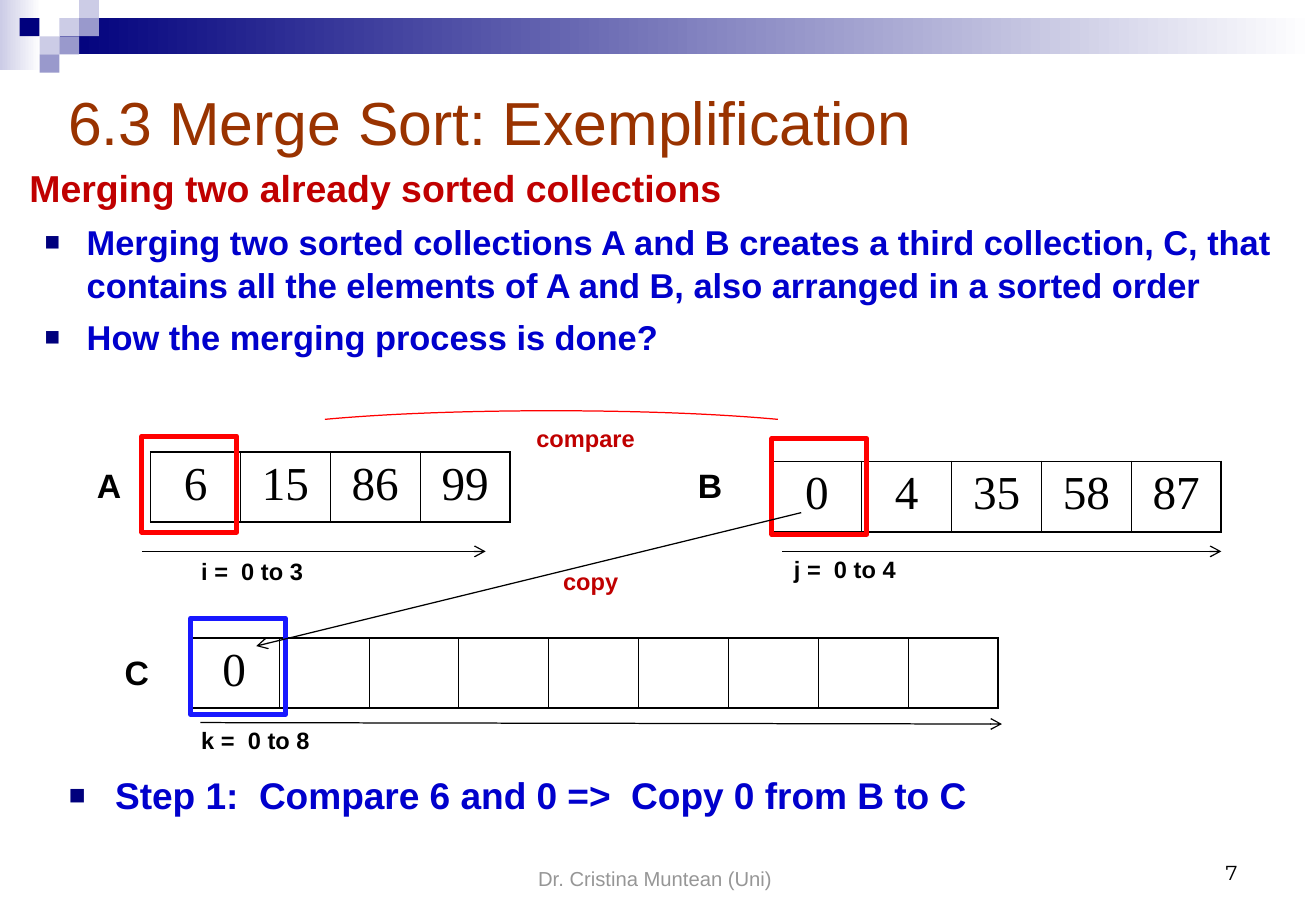
from dataclasses import dataclass

import pptx
import pptx.dml.color
import pptx.enum.shapes
import pptx.enum.text
import pptx.oxml
import pptx.oxml.ns
import pptx.util

Cm = pptx.util.Cm
Pt = pptx.util.Pt
Shapes = pptx.enum.shapes.MSO_SHAPE
Align = pptx.enum.text.PP_ALIGN
Anchor = pptx.enum.text.MSO_ANCHOR

COLOURS = {
    "navy": "00007D", "lilac": "CCCCE6", "violet": "9999CC", "white": "FFFFFF",
    "brown": "993300", "crimson": "C00000", "blue": "0000CC", "black": "000000",
    "grey": "969696", "red": "FF0000", "bright": "1818FF",
}
CELL_WIDTH, CELL_HEIGHT = 1.88, 1.47
FRAME_WIDTH, FRAME_HEIGHT = 1.98, 2.01
TILE_WIDTH, TILE_HEIGHT = 2.07 / 5, 0.38
THICK, THIN = 1.08, 0.45


@dataclass
class Style:
    size: float
    colour: str = "black"
    bold: bool = True
    font: str = "Arial"


@dataclass
class Caption:
    text: str
    left: float
    top: float
    width: float
    height: float
    style: Style
    align: Align = Align.LEFT
    anchor: Anchor = Anchor.TOP


@dataclass
class Collection:
    values: list[str]
    left: float
    top: float
    frame_left: float
    frame_top: float
    frame_colour: str


@dataclass
class Arrow:
    start: tuple[float, float]
    end: tuple[float, float]


def rgb(colour: str) -> pptx.dml.color.RGBColor:
    return pptx.dml.color.RGBColor.from_string(COLOURS[colour])


def place(item, left: float, top: float, width: float, height: float) -> None:
    item.left, item.top, item.width, item.height = map(Cm, (left, top, width, height))


def write(paragraph, text: str, style: Style, align: Align = Align.LEFT) -> None:
    paragraph.alignment = align
    run = paragraph.add_run()
    run.text = text
    run.font.size = Pt(style.size)
    run.font.bold = style.bold
    run.font.name = style.font
    run.font.color.rgb = rgb(style.colour)


def element(xml: str):
    return pptx.oxml.parse_xml(xml.replace(" ", f' {pptx.oxml.ns.nsdecls("a")} ', 1))


def set_bullet(paragraph, margin: float, hanging: float) -> None:
    properties = paragraph._p.get_or_add_pPr()
    properties.set("marL", str(Cm(margin)))
    properties.set("indent", str(-Cm(hanging)))
    for xml in (f'<a:buClr ><a:srgbClr val="{COLOURS["navy"]}"/></a:buClr>',
                '<a:buSzPct val="75000"/>', '<a:buFont typeface="Arial"/>',
                '<a:buChar char="■"/>'):
        properties.append(element(xml))


def add_block(slide, left: float, top: float, width: float, height: float,
              colour: str, fade_to: str = "") -> None:
    block = slide.shapes.add_shape(Shapes.RECTANGLE, *map(Cm, (left, top, width, height)))
    block.shadow.inherit = False
    block.line.fill.background()
    if fade_to:
        block.fill.gradient()
        block.fill.gradient_angle = 0
        for stop, stop_colour in zip(block.fill.gradient_stops, (colour, fade_to)):
            stop.color.rgb = rgb(stop_colour)
    else:
        block.fill.solid()
        block.fill.fore_color.rgb = rgb(colour)


def add_outline(slide, preset: Shapes, left: float, top: float, width: float,
                height: float, colour: str, weight: float):
    outline = slide.shapes.add_shape(preset, *map(Cm, (left, top, width, height)))
    outline.shadow.inherit = False
    outline.fill.background()
    outline.line.color.rgb = rgb(colour)
    outline.line.width = Pt(weight)
    return outline


def add_caption(slide, caption: Caption):
    box = slide.shapes.add_textbox(
        *map(Cm, (caption.left, caption.top, caption.width, caption.height)))
    box.text_frame.word_wrap = True
    box.text_frame.vertical_anchor = caption.anchor
    paragraph = box.text_frame.paragraphs[0]
    write(paragraph, caption.text, caption.style, caption.align)
    return paragraph


def add_collection(slide, collection: Collection) -> None:
    count = len(collection.values)
    table = slide.shapes.add_table(
        1, count, Cm(collection.left), Cm(collection.top),
        Cm(count * CELL_WIDTH), Cm(CELL_HEIGHT)).table
    table.first_row = table.horz_banding = False
    for index, value in enumerate(collection.values):
        cell = table.cell(0, index)
        cell.fill.background()
        if value:
            paragraph = cell.text_frame.paragraphs[0]
            paragraph.space_before = Pt(7)
            write(paragraph, value, Style(28, bold=False, font="Times New Roman"), Align.CENTER)
        weights = {"L": THIN if index else THICK,
                   "R": THIN if index < count - 1 else THICK, "T": THICK, "B": THICK}
        for position, (side, weight) in enumerate(weights.items()):
            cell._tc.get_or_add_tcPr().insert(position, element(
                f'<a:ln{side} w="{Pt(weight)}"><a:solidFill>'
                f'<a:srgbClr val="{COLOURS["black"]}"/></a:solidFill></a:ln{side}>'))


def add_arrow(slide, arrow: Arrow) -> None:
    connector = slide.shapes.add_connector(
        pptx.enum.shapes.MSO_CONNECTOR.STRAIGHT, *map(Cm, arrow.start + arrow.end))
    connector.line.color.rgb = rgb("black")
    connector.line.width = Pt(0.74)
    connector.line._get_or_add_ln().append(element('<a:tailEnd type="arrow"/>'))
    connector._element.spPr.append(element("<a:effectLst />"))


deck = pptx.Presentation()
deck.slide_width, deck.slide_height = Cm(27.53), Cm(19.05)
slide = deck.slides.add_slide(deck.slide_layouts[1])

add_block(slide, 0, 0, 0.86, 1.47, "lilac", "white")
add_block(slide, 1.25, 0.38, 26.26, 0.76, "navy", "white")
for column, row, colour in [(3, 1, "lilac"), (4, 0, "lilac"), (4, 1, "violet"), (2, 2, "lilac"),
                            (1, 1, "navy"), (3, 2, "violet"), (2, 3, "violet")]:
    add_block(slide, column * TILE_WIDTH, row * TILE_HEIGHT, TILE_WIDTH, TILE_HEIGHT, colour)

heading = slide.shapes.title
place(heading, 1.17, 1.32, 24.94, 2.41)
heading.text_frame.vertical_anchor = Anchor.MIDDLE
write(heading.text_frame.paragraphs[0], "6.3 Merge Sort: Exemplification",
      Style(36, "brown", bold=False))

explanation = slide.placeholders[1]
place(explanation, 0.36, 3.33, 27.03, 5.21)
explanation.text_frame.auto_size = pptx.enum.text.MSO_AUTO_SIZE.NONE
topic = explanation.text_frame.paragraphs[0]
topic.space_before = Pt(6)
write(topic, "Merging two already sorted collections", Style(22.2, "crimson"))
topic_properties = topic._p.get_or_add_pPr()
topic_properties.set("marL", "0")
topic_properties.set("indent", "0")
topic_properties.append(element("<a:buNone />"))
for sentence in ("Merging two sorted collections A and B creates a third collection, C, that "
                 "contains all the elements of A and B, also arranged in a sorted order",
                 "How the merging process is done?"):
    point = explanation.text_frame.add_paragraph()
    point.space_before = Pt(5.5)
    point.line_spacing = 1.04
    write(point, sentence, Style(20.4, "blue"))
    set_bullet(point, 1.2, 0.88)

collections = [
    Collection(["0"] + [""] * 8, 3.96, 13.34, 3.99, 12.93, "bright"),
    Collection(["6", "15", "86", "99"], 3.15, 9.45, 2.97, 9.12, "red"),
    Collection(["0", "4", "35", "58", "87"], 16.15, 9.65, 16.15, 9.17, "red"),
]
for collection in collections:
    add_collection(slide, collection)
for collection in collections:
    add_outline(slide, Shapes.RECTANGLE, collection.frame_left, collection.frame_top,
                FRAME_WIDTH, FRAME_HEIGHT, collection.frame_colour, 3)

compare_arc = add_outline(slide, Shapes.ARC, 4.93, 8.59, 13.21, 1.19, "red", 0.74)
for index, degrees in enumerate((185, 355)):
    compare_arc.adjustments[index] = degrees * 0.6

for arrow in [Arrow((2.97, 11.53), (10.16, 11.53)), Arrow((16.36, 11.53), (25.55, 11.53)),
              Arrow((4.19, 15.11), (20.96, 15.14)), Arrow((16.76, 10.72), (5.36, 13.51))]:
    add_arrow(slide, arrow)

letter, index_range, action = Style(20), Style(14), Style(14, "crimson")
for caption in [
    Caption("A", 1.78, 9.6, 1.17, 1.12, letter),
    Caption("B", 14.35, 9.6, 1.17, 1.12, letter),
    Caption("C", 2.36, 13.51, 1.17, 1.12, letter),
    Caption("i =  0 to 3", 3.96, 11.53, 6.2, 0.86, index_range),
    Caption("j =  0 to 4", 16.36, 11.48, 6.2, 0.86, index_range),
    Caption("k =  0 to 8", 3.96, 15.06, 6.2, 0.86, index_range),
    Caption("compare", 10.97, 8.74, 3.89, 0.86, action),
    Caption("copy", 11.53, 11.73, 1.93, 0.86, action),
    Caption("Dr. Cristina Muntean (Uni)", 9.35, 17.48, 8.71, 1.27,
            Style(12, "grey", bold=False), Align.CENTER, Anchor.BOTTOM),
    Caption("7", 19.71, 17.35, 6.43, 1.27,
            Style(12, bold=False, font="Montserrat"), Align.RIGHT, Anchor.BOTTOM),
]:
    add_caption(slide, caption)

step = add_caption(slide, Caption("Step 1:  Compare 6 and 0 =>  Copy 0 from B to C",
                                  1.19, 16.03, 26.19, 1.5, Style(22, "blue")))
step.space_before = Pt(5.5)
set_bullet(step, 0.97, 0.97)

deck.save("out.pptx")
